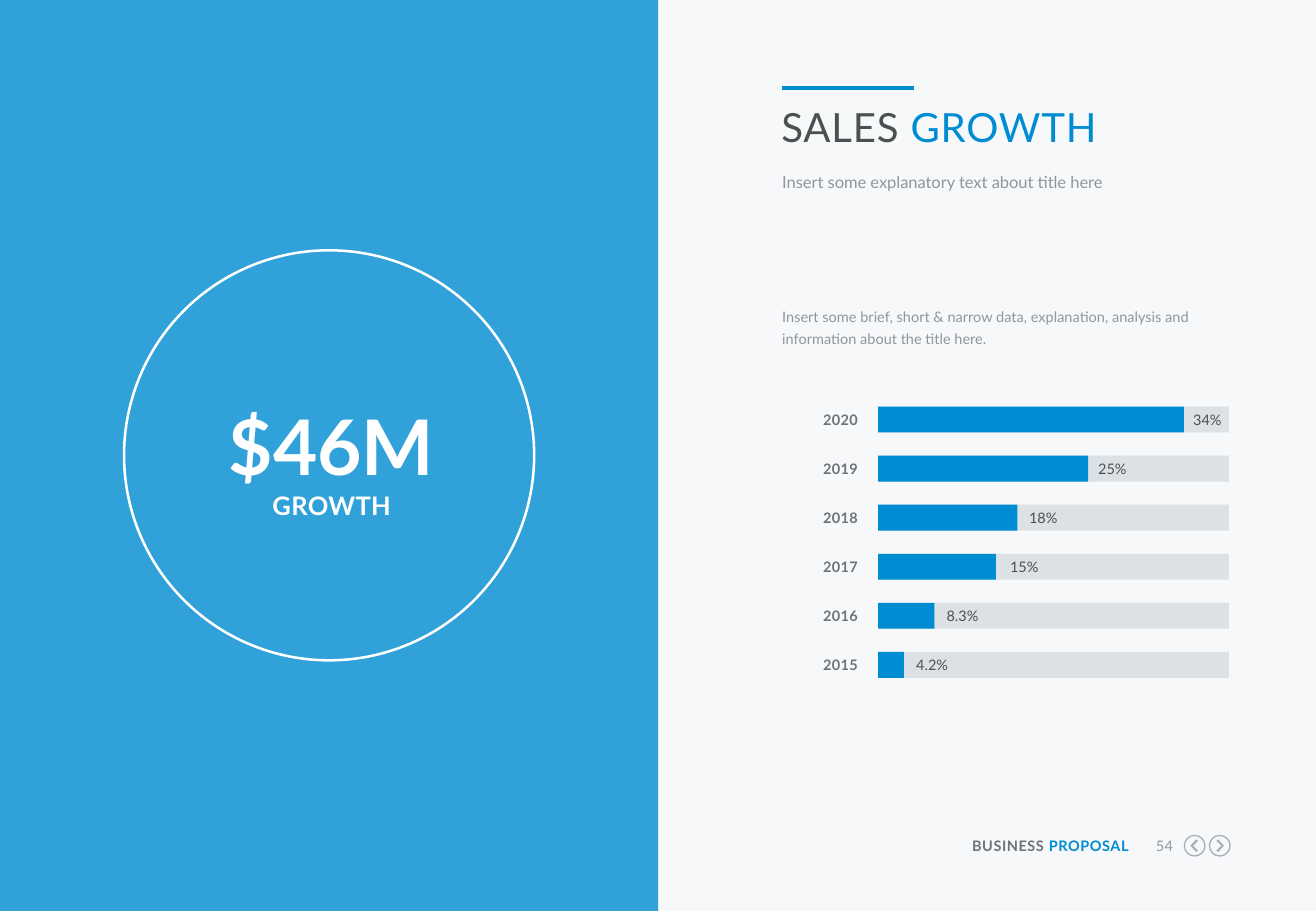
from dataclasses import dataclass

from lxml import etree
from pptx import Presentation
from pptx.dml.color import RGBColor
from pptx.enum.shapes import MSO_CONNECTOR, MSO_SHAPE
from pptx.enum.text import MSO_AUTO_SIZE, PP_ALIGN
from pptx.oxml.ns import qn
from pptx.util import Length, Pt

RECTANGLE, OVAL = MSO_SHAPE.RECTANGLE, MSO_SHAPE.OVAL
STRAIGHT = MSO_CONNECTOR.STRAIGHT
GROW = MSO_AUTO_SIZE.SHAPE_TO_FIT_TEXT
LEFT, CENTER, RIGHT = PP_ALIGN.LEFT, PP_ALIGN.CENTER, PP_ALIGN.RIGHT

BLUE = RGBColor(0x00, 0x8C, 0xD2)
WHITE = RGBColor(0xFF, 0xFF, 0xFF)
PAPER = RGBColor(0xF6, 0xF8, 0xFA)
TRACK = RGBColor(0xDC, 0xE1, 0xE6)
DARK = RGBColor(0x4B, 0x50, 0x50)
SLATE = RGBColor(0x6E, 0x73, 0x78)
GREY = RGBColor(0x91, 0x96, 0x9B)
ICON = RGBColor(0xAA, 0xAF, 0xB4)

FONT = "Lato"
SMALL = 8.66
COLUMN_LEFT = 463.5
BAR_LEFT, BAR_TOP, BAR_WIDTH, BAR_HEIGHT, BAR_PITCH = 520.4, 241, 207.9, 15.4, 29.08
CHEVRON = [(-2, -2.9), (0.9, 0), (-2, 2.9), (-0.9, 3.7), (2.5, 0), (-0.9, -3.7)]
# Start and control points of four Bezier quarters of a unit circle
BEND = 0.55
UNIT_CIRCLE = [(1, 0), (1, BEND), (BEND, 1), (0, 1), (-BEND, 1), (-1, BEND), (-1, 0),
               (-1, -BEND), (-BEND, -1), (0, -1), (BEND, -1), (1, -BEND), (1, 0)]


@dataclass
class Span:
    text: str
    color: RGBColor


@dataclass
class Label:
    left: float
    top: float
    width: float
    height: float
    spans: list[Span]
    size: float = SMALL
    bold: bool = False
    align: PP_ALIGN = LEFT
    tracking: float = 0
    line_spacing: float | Length | None = None


@dataclass
class YearBar:
    year: str
    value: str
    width: float
    value_left: float


YEAR_BARS = [
    YearBar("2020", "34%", 181.2, 707),
    YearBar("2019", "25%", 124.4, 650.7),
    YearBar("2018", "18%", 82.4, 609.8),
    YearBar("2017", "15%", 69.7, 598.5),
    YearBar("2016", "8.3%", 33.4, 560.9),
    YearBar("2015", "4.2%", 15.2, 542.9),
]

LABELS = [
    # Circle
    Label(115.2, 225.4, 162.7, 66.2, [Span("$46M", WHITE)], 45.47, True, CENTER, 0, 1.2),
    Label(115.2, 290.2, 162.7, 18.7, [Span("GROWTH", WHITE)], 15.16, True, CENTER, 0.2),
    # Heading and introduction
    Label(463, 60.5, 266.4, 28.8, [Span("SALES ", DARK), Span("GROWTH", BLUE)],
          23.82, tracking=0.5),
    Label(COLUMN_LEFT, 101.5, 265.7, 12.2,
          [Span("Insert some explanatory text about title here", GREY)],
          9.74, line_spacing=Pt(12)),
    Label(COLUMN_LEFT, 179.3, 265, 27.4,
          [Span("Insert some brief, short & narrow data, explanation, analysis and "
                "information about the title here.", GREY)], line_spacing=1.3),
    # Footer
    Label(570.2, 496.1, 98.7, 10.8, [Span("BUSINESS ", SLATE), Span("PROPOSAL", BLUE)],
          bold=True, align=RIGHT, tracking=0.3),
    Label(677.2, 496.1, 18, 10.8, [Span("54", GREY)], align=RIGHT, tracking=0.3),
]


def add_label(page, label: Label) -> None:
    box = page.shapes.add_textbox(Pt(label.left), Pt(label.top),
                                  Pt(label.width), Pt(label.height))
    frame = box.text_frame
    frame.margin_left = frame.margin_right = frame.margin_top = frame.margin_bottom = 0
    frame.word_wrap = True
    frame.auto_size = GROW
    para = frame.paragraphs[0]
    para.alignment = label.align
    if label.line_spacing is not None:
        para.line_spacing = label.line_spacing
    for part in label.spans:
        span = para.add_run()
        span.text = part.text
        span.font.name = FONT
        span.font.size = Pt(label.size)
        span.font.bold = label.bold
        span.font.color.rgb = part.color
        if label.tracking:
            span.font._element.set("spc", str(round(label.tracking * 100)))


def add_rectangle(shapes, left: float, top: float, width: float, height: float,
                  color: RGBColor):
    shape = shapes.add_shape(RECTANGLE, Pt(left), Pt(top), Pt(width), Pt(height))
    shape.shadow.inherit = False
    shape.fill.solid()
    shape.fill.fore_color.rgb = color
    shape.line.fill.background()
    return shape


def add_year_bar(page, bar: YearBar, row: int) -> None:
    top = BAR_TOP + row * BAR_PITCH
    add_label(page, Label(463, top + 2.4, 45.4, 10.8, [Span(bar.year, SLATE)],
                          bold=True, align=RIGHT, tracking=0.2))
    group = page.shapes.add_group_shape()
    for width, color in ((BAR_WIDTH, TRACK), (bar.width, BLUE)):
        add_rectangle(group.shapes, BAR_LEFT, top, width, BAR_HEIGHT, color)
    add_label(page, Label(bar.value_left, top + 2.4, 20.9, 10.8, [Span(bar.value, DARK)]))


def circle_points(radius: float, turn: int) -> list[tuple[float, float]]:
    return [(radius * x, turn * radius * y) for x, y in UNIT_CIRCLE]


def add_page_button(page, center_x: float, center_y: float, direction: int) -> None:
    outlines = [circle_points(6.5, 1), circle_points(5.7, -1),
                [(direction * x, y) for x, y in CHEVRON]]
    builder = None
    for outline in outlines:
        points = [(Pt(center_x + x), Pt(center_y + y)) for x, y in outline]
        if builder is None:
            builder = page.shapes.build_freeform(*points[0])
        else:
            builder.move_to(*points[0])
        builder.add_line_segments(points[1:], close=True)
    button = builder.convert_to_shape()
    button.shadow.inherit = False
    button.fill.solid()
    button.fill.fore_color.rgb = ICON
    button.line.fill.background()

    # Turn every three segments of the two circles into one curve
    segments = list(button._element.iter(qn("a:lnTo")))
    for start in range(0, 2 * (len(UNIT_CIRCLE) - 1), 3):
        curve = etree.Element(qn("a:cubicBezTo"))
        segments[start].addprevious(curve)
        for segment in segments[start:start + 3]:
            curve.append(segment[0])
            segment.getparent().remove(segment)


def main() -> None:
    deck = Presentation()
    deck.slide_width, deck.slide_height = Pt(779.8), Pt(540)
    page = deck.slides.add_slide(deck.slide_layouts[6])
    page.background.fill.solid()
    page.background.fill.fore_color.rgb = PAPER

    # Page buttons
    for center_x, direction in ((722.8, 1), (707.9, -1)):
        add_page_button(page, center_x, 501.3, direction)

    # Blue panel, 80% opaque
    panel = add_rectangle(page.shapes, 0, 0, 390, 540, BLUE)
    panel_color = panel._element.spPr.find(qn("a:solidFill"))[0]
    etree.SubElement(panel_color, qn("a:alpha")).set("val", "80000")

    # Yearly bars
    for row, bar in enumerate(YEAR_BARS):
        add_year_bar(page, bar, row)

    # Circle around the headline figure
    circle = page.shapes.add_shape(OVAL, Pt(73.5), Pt(148.4), Pt(243), Pt(243))
    circle.shadow.inherit = False
    circle.fill.background()
    circle.line.color.rgb = WHITE
    circle.line.width = Pt(1.5)

    # Accent line above the title
    accent = page.shapes.add_connector(STRAIGHT, Pt(COLUMN_LEFT), Pt(52),
                                       Pt(541.6), Pt(52))
    accent.line.color.rgb = BLUE
    accent.line.width = Pt(2.25)
    etree.SubElement(accent._element.spPr, qn("a:effectLst"))

    # Headline figure, heading, introduction and footer
    for label in LABELS:
        add_label(page, label)

    deck.save("out.pptx")


if __name__ == "__main__":
    main()
